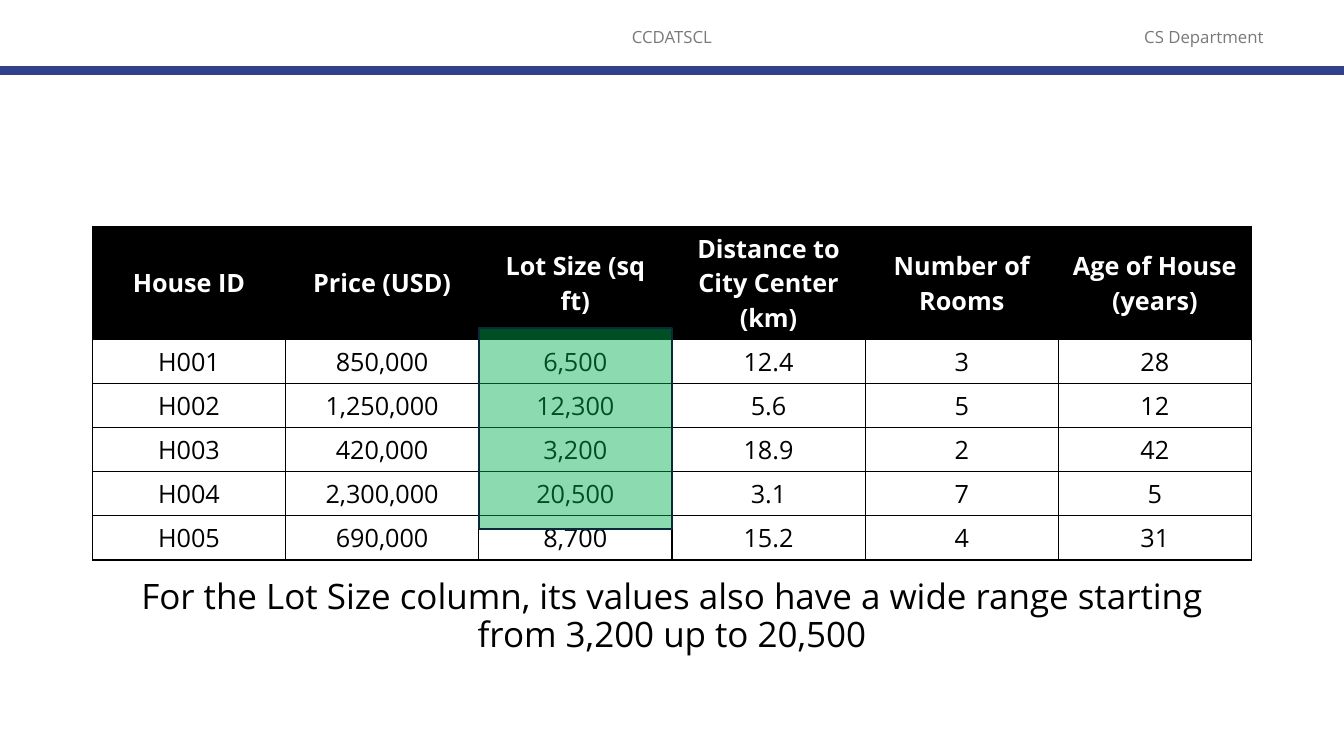
import pptx
import pptx.util
import pptx.dml.color
import pptx.enum.shapes
import pptx.enum.text
import pptx.oxml
import pptx.oxml.ns
from lxml import etree

Pt = pptx.util.Pt
RGBColor = pptx.dml.color.RGBColor
qn = pptx.oxml.ns.qn
MIDDLE = pptx.enum.text.MSO_ANCHOR.MIDDLE
TOP = pptx.enum.text.MSO_ANCHOR.TOP

BLACK = RGBColor(0x00, 0x00, 0x00)
WHITE = RGBColor(0xFF, 0xFF, 0xFF)
GREY = RGBColor(0x79, 0x79, 0x79)
INDIGO = RGBColor(0x32, 0x41, 0x8C)
GREEN = RGBColor(0x00, 0xB0, 0x50)
NAVY = RGBColor(0x09, 0x2A, 0x39)
FONT = "Open Sans"

TABLE_LEFT, TABLE_TOP, COLUMN_WIDTH = 66, 162, 138
HEADER_HEIGHT, ROW_HEIGHT = 80.5, 31.5
LOT_SIZE_COLUMN = 2
HOUSES = [
    ["House ID", "Price (USD)", "Lot Size (sq ft)", "Distance to City Center (km)",
     "Number of Rooms", "Age of House (years)"],
    ["H001", "850,000", "6,500", "12.4", "3", "28"],
    ["H002", "1,250,000", "12,300", "5.6", "5", "12"],
    ["H003", "420,000", "3,200", "18.9", "2", "42"],
    ["H004", "2,300,000", "20,500", "3.1", "7", "5"],
    ["H005", "690,000", "8,700", "15.2", "4", "31"],
]
TABLE_WIDTH = COLUMN_WIDTH * len(HOUSES[0])


def write_text(tf, text, size, color, bold=False):
    tf.text = text
    p = tf.paragraphs[0]
    p.alignment = pptx.enum.text.PP_ALIGN.CENTER
    font = p.runs[0].font
    font.name = FONT
    font.size = Pt(size)
    font.bold = bold
    font.color.rgb = color
    return p


def add_text(s, text, left, top, width, height, size, color, anchor=MIDDLE, spacing=1.0):
    tf = s.shapes.add_textbox(Pt(left), Pt(top), Pt(width), Pt(height)).text_frame
    tf.word_wrap = True
    tf.vertical_anchor = anchor
    write_text(tf, text, size, color).line_spacing = spacing


def add_rule(s, y, width, color, weight):
    line = s.shapes.add_connector(
        pptx.enum.shapes.MSO_CONNECTOR.STRAIGHT, Pt(0), Pt(y), width, Pt(y))
    line.line.color.rgb = color
    line.line.width = Pt(weight)
    etree.SubElement(line._element.spPr, qn("a:effectLst"))


def set_borders(cell, color, weight):
    tc_pr = cell._tc.get_or_add_tcPr()
    for side in ("a:lnL", "a:lnR", "a:lnT", "a:lnB"):
        border = etree.SubElement(tc_pr, qn(side), w=str(Pt(weight)))
        fill = etree.SubElement(border, qn("a:solidFill"))
        etree.SubElement(fill, qn("a:srgbClr"), val=str(color))


def add_house_table(s):
    height = HEADER_HEIGHT + ROW_HEIGHT * (len(HOUSES) - 1)
    table = s.shapes.add_table(len(HOUSES), len(HOUSES[0]), Pt(TABLE_LEFT), Pt(TABLE_TOP),
                               Pt(TABLE_WIDTH), Pt(height)).table
    table.horz_banding = False
    for column in table.columns:
        column.width = Pt(COLUMN_WIDTH)
    for i, values in enumerate(HOUSES):
        header = i == 0
        table.rows[i].height = Pt(HEADER_HEIGHT if header else ROW_HEIGHT)
        for j, value in enumerate(values):
            cell = table.cell(i, j)
            cell.vertical_anchor = MIDDLE
            write_text(cell.text_frame, value, 18, WHITE if header else BLACK, header)
            set_borders(cell, BLACK, 1)
            if header:
                cell.fill.solid()
                cell.fill.fore_color.rgb = BLACK
            else:
                cell.fill.background()


def add_highlight(s, left, top, width, height, opacity):
    sp = s.shapes.add_shape(pptx.enum.shapes.MSO_SHAPE.RECTANGLE,
                            Pt(left), Pt(top), Pt(width), Pt(height))
    sp.shadow.inherit = False
    sp.fill.solid()
    sp.fill.fore_color.rgb = GREEN
    sp.line.color.rgb = NAVY
    sp.line.width = Pt(1.5)
    color = sp._element.spPr.find(qn("a:solidFill")).find(qn("a:srgbClr"))
    etree.SubElement(color, qn("a:alpha"), val=str(opacity * 1000))


def main():
    prs = pptx.Presentation()
    prs.slide_width = Pt(960)
    prs.slide_height = Pt(540)
    s = prs.slides.add_slide(prs.slide_layouts[6])
    add_text(s, "CCDATSCL", 318, 12, 324, 29, 12, GREY)
    add_text(s, "CS Department", 786, 12, 148, 29, 12, GREY)
    add_rule(s, 50.5, prs.slide_width, INDIGO, 6)
    add_house_table(s)
    add_text(s, "For the Lot Size column, its values also have a wide range starting "
             "from 3,200 up to 20,500", TABLE_LEFT, 410.5, TABLE_WIDTH, 68, 25, BLACK, TOP, 0.9)
    add_highlight(s, TABLE_LEFT + LOT_SIZE_COLUMN * COLUMN_WIDTH, 234, COLUMN_WIDTH, 144, 45)
    prs.save("out.pptx")


if __name__ == "__main__":
    main()
